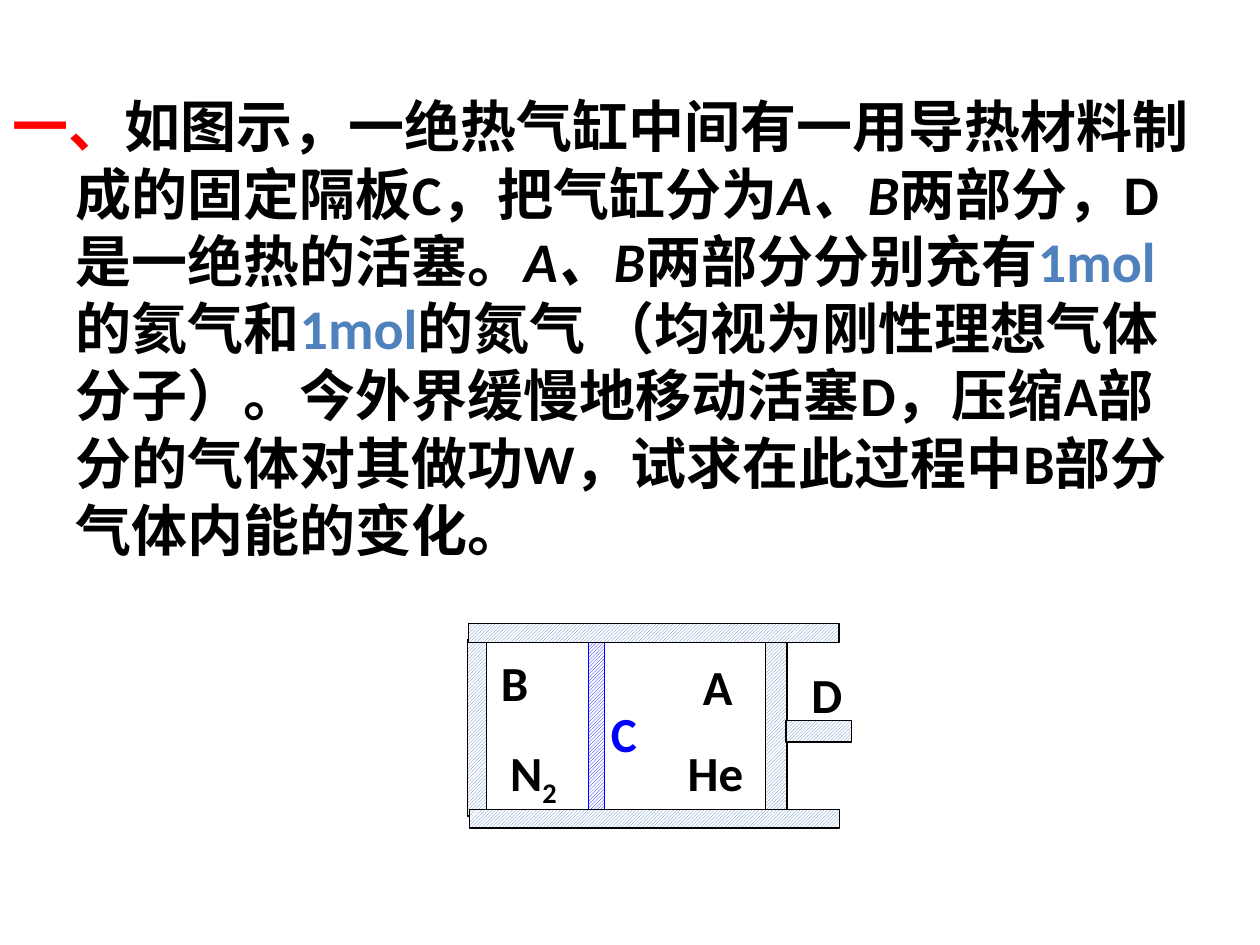
"""Build a physics problem slide with a drawing of a divided gas cylinder."""
from pptx import Presentation
from pptx.dml.color import RGBColor
from pptx.enum.dml import MSO_PATTERN as Pattern
from pptx.enum.shapes import MSO_SHAPE as Shape
from pptx.enum.text import MSO_AUTO_SIZE as Fit
from pptx.util import Pt

COLORS = {"black": "000000", "red": "FF0000", "blue": "0000FF",
          "steel": "4F81BD", "white": "FFFFFF"}
FONT = "Calibri"
PROBLEM = [
    ("一、", "red", False),
    ("如图示，一绝热气缸中间有一用导热材料制成的固定隔板C，把气缸分为", "black", False),
    ("A、B", "black", True),
    ("两部分，D 是一绝热的活塞。", "black", False),
    ("A、B", "black", True),
    ("两部分分别充有", "black", False),
    ("1mol", "steel", False),
    ("的氦气和", "black", False),
    ("1mol", "steel", False),
    ("的氮气 （均视为刚性理想气体分子）。今外界缓慢地移动活塞D，压缩A部分的气体对其做功W，"
     "试求在此过程中B部分气体内能的变化。", "black", False),
]
WALLS = [
    ((267.1, 365.5, 10.8, 100.8), "steel", "black"),
    ((336.2, 364.3, 9.4, 106.6), "blue", "blue"),
    ((437.6, 361.4, 12.2, 107.3), "steel", "black"),
    ((449.1, 411.8, 37.4, 12.2), "steel", "black"),
    ((268.2, 462.4, 211.7, 10.8), "steel", "black"),
    ((267.8, 356.3, 211.7, 10.8), "steel", "black"),
]
LABELS = [
    ("A", "", (394.6, 371.5, 34.6), "black", False),
    ("B", "", (279.2, 369.4, 55.4), "black", True),
    ("C", "", (342, 398.2, 34.6), "blue", False),
    ("D", "", (456.5, 376.3, 34.6), "black", False),
    ("N", "2", (284.4, 420.5, 43.9), "black", False),
    ("He", "", (385.9, 420.5, 49), "black", False),
]
LABEL_H = 41


def rgb(name):
    """Return the named colour."""
    return RGBColor.from_string(COLORS[name])


def add_box(shapes, box, wrap):
    """Add a text box and return its first paragraph."""
    frame = shapes.add_textbox(*map(Pt, box)).text_frame
    frame.word_wrap = wrap
    frame.auto_size = Fit.SHAPE_TO_FIT_TEXT
    return frame.paragraphs[0]


def add_run(para, text, size, color, italic=False):
    """Add a bold run and return it."""
    run = para.add_run()
    run.text = text
    font = run.font
    font.name, font.size, font.bold = FONT, Pt(size), True
    font.color.rgb = rgb(color)
    if italic:
        font.italic = True
    return run


def add_wall(shapes, box, hatch, edge):
    """Add a hatched bar."""
    bar = shapes.add_shape(Shape.RECTANGLE, *map(Pt, box))
    bar.shadow.inherit = False
    bar.fill.patterned()
    bar.fill.pattern = Pattern.LIGHT_UPWARD_DIAGONAL
    bar.fill.fore_color.rgb = rgb(hatch)
    bar.fill.back_color.rgb = rgb("white")
    bar.line.color.rgb = rgb(edge)
    bar.line.width = Pt(0.75)


def main():
    """Lay out the problem and the cylinder."""
    deck = Presentation()
    deck.slide_width, deck.slide_height = Pt(720), Pt(540)
    slide = deck.slides.add_slide(deck.slide_layouts[6])

    para = add_box(slide.shapes, (0, 49, 689.8, 279), True)
    props = para._p.get_or_add_pPr()
    props.set("marL", str(Pt(36)))
    props.set("indent", str(-Pt(36)))
    props.set("hangingPunct", "0")
    for text, color, italic in PROBLEM:
        add_run(para, text, 32, color, italic)

    parts = slide.shapes.add_group_shape().shapes
    for box, hatch, edge in WALLS:
        add_wall(parts, box, hatch, edge)
    for text, sub, (left, top, width), color, wrap in LABELS:
        para = add_box(parts, (left, top, width, LABEL_H), wrap)
        add_run(para, text, 28, color)
        if sub:
            run = add_run(para, sub, 28, color)
            run._r.get_or_add_rPr().set("baseline", "-25000")

    deck.save("out.pptx")


if __name__ == "__main__":
    main()
